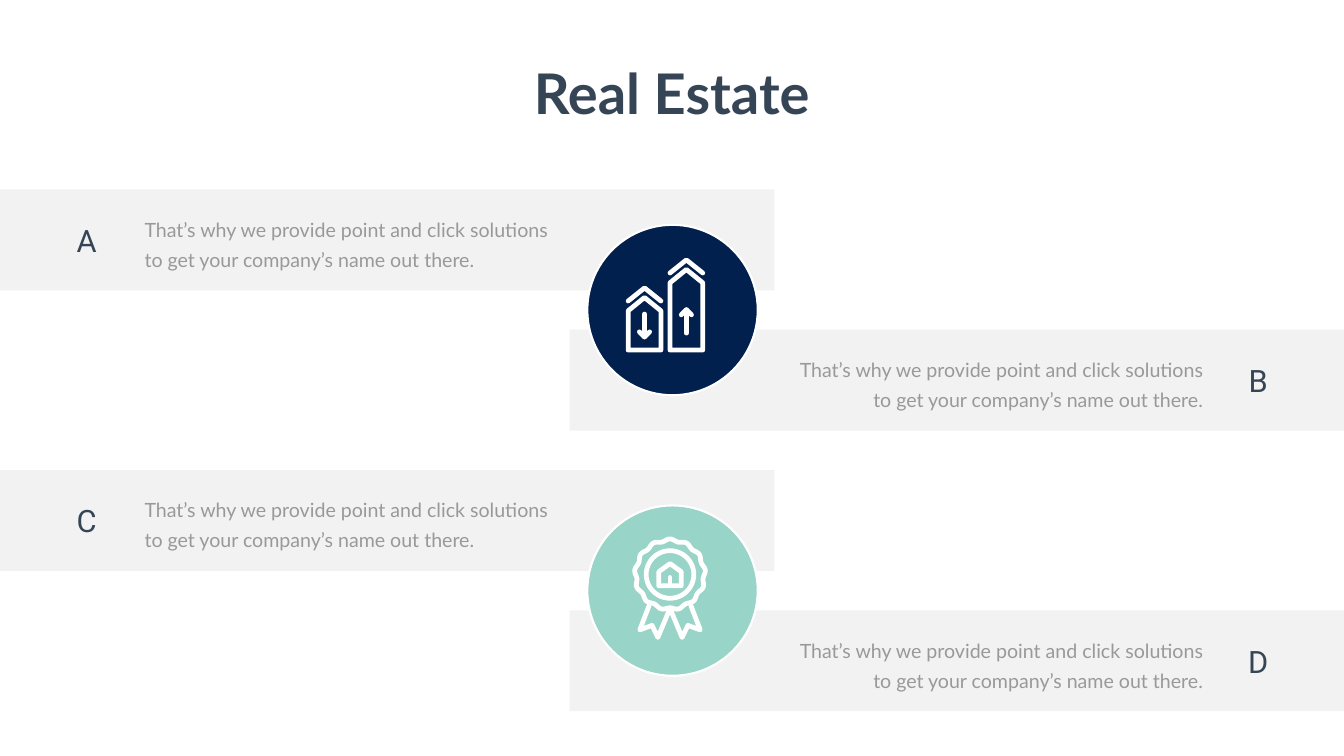
from math import cos, pi, sin

from lxml import etree
from pptx import Presentation
from pptx.dml.color import RGBColor
from pptx.enum.shapes import MSO_SHAPE
from pptx.enum.text import MSO_ANCHOR, MSO_AUTO_SIZE, PP_ALIGN
from pptx.oxml.ns import qn
from pptx.util import Pt

RECTANGLE, OVAL = MSO_SHAPE.RECTANGLE, MSO_SHAPE.OVAL
TOP, MIDDLE = MSO_ANCHOR.TOP, MSO_ANCHOR.MIDDLE
LEFT, CENTER, RIGHT = PP_ALIGN.LEFT, PP_ALIGN.CENTER, PP_ALIGN.RIGHT
GROW = MSO_AUTO_SIZE.SHAPE_TO_FIT_TEXT

WHITE = RGBColor(0xFF, 0xFF, 0xFF)
SLATE = RGBColor(0x36, 0x45, 0x56)
GRAY = RGBColor(0x99, 0x99, 0x99)
BAR_GRAY = RGBColor(0x80, 0x80, 0x80)
NAVY = RGBColor(0x01, 0x20, 0x4D)
MINT = RGBColor(0x98, 0xD4, 0xC7)

TITLE = "Real Estate"
SENTENCE = ("That’s why we provide point and click solutions "
            "to get your company’s name out there.")
ROWS = [("A", SENTENCE), ("B", SENTENCE), ("C", SENTENCE), ("D", SENTENCE)]

PAGE_WIDTH, PAGE_HEIGHT = 1919.5, 1080
BAR_TOP, BAR_STEP, BAR_WIDTH, BAR_HEIGHT = 270.7, 200.4, 1105.9, 144
LETTER_WIDTH, LETTER_HEIGHT = 151.2, 53.3
TEXT_WIDTH, TEXT_HEIGHT = 614.9, 89.3
DISC_SIZE, DISC_DROP = 243.4, 50.5
STROKE = 6.8

# Icon measures, from the centre of the disc or of the medal
TOWERS = [(-40, 1.1), (19.8, -38.9)]  # middle, shoulder height
TOWER_HALF, TOWER_BASE = 23.4, 57.2
ARROWS = [(-40, 5.8, 38.5), (19.8, 33, -0.4)]  # middle, tail, tip
ARROW_HEAD = 7.3
MEDAL_SHIFT = (-3.6, -23)
RING_RADIUS = 34
LOBES, LOBE_RADIUS, LOBE_DEPTH = 13, 49.2, 1.6
RIBBON = [(-29.9, 44.6), (-43.2, 79.2), (-25.6, 72.7), (-17.3, 90), (-1.4, 51.8)]
HOME = [(-16, 16.2), (-16, -4), (0, -15.5), (16, -4), (16, 16.2)]
DOOR = [(0, 4.3), (0, 13)]


def add_bar(page, left, top):
    bar = page.shapes.add_shape(RECTANGLE, Pt(left), Pt(top), Pt(BAR_WIDTH), Pt(BAR_HEIGHT))
    bar.shadow.inherit = False
    bar.fill.solid()
    bar.fill.fore_color.rgb = BAR_GRAY
    color = bar.fill._xPr.find(qn("a:solidFill"))[0]
    etree.SubElement(color, qn("a:alpha"), val="10000")
    bar.line.fill.background()


def add_circle(page, center, size, line_width, fill=None):
    x, y = center
    circle = page.shapes.add_shape(
        OVAL, Pt(x - size / 2), Pt(y - size / 2), Pt(size), Pt(size))
    circle.shadow.inherit = False
    if fill is None:
        circle.fill.background()
    else:
        circle.fill.solid()
        circle.fill.fore_color.rgb = fill
    circle.line.color.rgb = WHITE
    circle.line.width = Pt(line_width)


def add_stroke(page, center, points, close=False):
    """Draw a round-ended white line through points given from center."""
    x, y = center
    points = [(Pt(x + dx), Pt(y + dy)) for dx, dy in points]
    builder = page.shapes.build_freeform(*points[0])
    builder.add_line_segments(points[1:], close=close)
    stroke = builder.convert_to_shape()
    stroke.shadow.inherit = False
    stroke.fill.background()
    stroke.line.color.rgb = WHITE
    stroke.line.width = Pt(STROKE)
    outline = stroke.line._get_or_add_ln()
    outline.set("cap", "rnd")
    etree.SubElement(outline, qn("a:round"))


def write(box, words, font_name, size, color, alignment, bold=False):
    box.text_frame.text = words
    paragraph = box.text_frame.paragraphs[0]
    paragraph.alignment = alignment
    font = paragraph.font
    font.name, font.size, font.bold = font_name, Pt(size), bold
    font.color.rgb = color
    return paragraph


def add_text_box(page, left, top, width, height):
    box = page.shapes.add_textbox(Pt(left), Pt(top), Pt(width), Pt(height))
    box.text_frame.word_wrap = True
    box.text_frame.auto_size = GROW
    return box


def add_row(page, index, letter, sentence):
    top = BAR_TOP + index * BAR_STEP
    if index % 2 == 0:
        bar_left, letter_left, text_left, alignment = 0, 48.2, 199.4, LEFT
    else:
        bar_left = PAGE_WIDTH - BAR_WIDTH
        letter_left, text_left, alignment = 1721.5, 1110.2, RIGHT
    add_bar(page, bar_left, top)

    box = add_text_box(page, letter_left, top + 45.4, LETTER_WIDTH, LETTER_HEIGHT)
    frame = box.text_frame
    frame.margin_left = frame.margin_right = frame.margin_top = frame.margin_bottom = 0
    frame.vertical_anchor = MIDDLE
    write(box, letter, "Roboto", 44, SLATE, CENTER)

    box = add_text_box(page, text_left, top + 27.4, TEXT_WIDTH, TEXT_HEIGHT)
    write(box, sentence, "Lato", 28, GRAY, alignment).line_spacing = Pt(43)


def draw_towers(page, center):
    for middle, shoulder in TOWERS:
        left, right = middle - TOWER_HALF, middle + TOWER_HALF
        add_stroke(page, center, [
            (left, TOWER_BASE), (left, shoulder), (middle, shoulder - 19),
            (right, shoulder), (right, TOWER_BASE)], close=True)
        add_stroke(page, center, [
            (left, shoulder - 14), (middle, shoulder - 32.7), (right, shoulder - 14)])
    for middle, tail, tip in ARROWS:
        wing = tip + (ARROW_HEAD if tail > tip else -ARROW_HEAD)
        add_stroke(page, center, [(middle, tail), (middle, tip)])
        add_stroke(page, center, [
            (middle - ARROW_HEAD, wing), (middle, tip), (middle + ARROW_HEAD, wing)])


def draw_medal(page, disc_center):
    center = tuple(place + shift for place, shift in zip(disc_center, MEDAL_SHIFT))
    rosette = []
    steps = LOBES * 10
    for step in range(steps):
        angle = 2 * pi * step / steps
        radius = LOBE_RADIUS + LOBE_DEPTH * cos(LOBES * angle)
        rosette.append((radius * sin(angle), -radius * cos(angle)))
    add_stroke(page, center, rosette, close=True)
    add_circle(page, center, 2 * RING_RADIUS, STROKE)
    add_stroke(page, center, HOME, close=True)
    add_stroke(page, center, DOOR)
    for side in (1, -1):
        add_stroke(page, center, [(side * x, y) for x, y in RIBBON])


def main():
    deck = Presentation()
    deck.slide_width, deck.slide_height = Pt(PAGE_WIDTH), Pt(PAGE_HEIGHT)
    page = deck.slides.add_slide(deck.slide_layouts[5])

    title = page.shapes.title
    title.left, title.top, title.width, title.height = Pt(749.5), Pt(80.6), Pt(419.8), Pt(104.4)
    title.text_frame.word_wrap = False
    title.text_frame.auto_size = GROW
    title.text_frame.vertical_anchor = TOP
    write(title, TITLE, "Lato", 80, SLATE, CENTER, bold=True)

    for index, (letter, sentence) in enumerate(ROWS):
        add_row(page, index, letter, sentence)

    for index, color, draw_icon in [(0, NAVY, draw_towers), (2, MINT, draw_medal)]:
        top = BAR_TOP + index * BAR_STEP + DISC_DROP
        center = (960.5, top + DISC_SIZE / 2)
        add_circle(page, center, DISC_SIZE, 3, color)
        draw_icon(page, center)

    deck.save("out.pptx")


if __name__ == "__main__":
    main()
